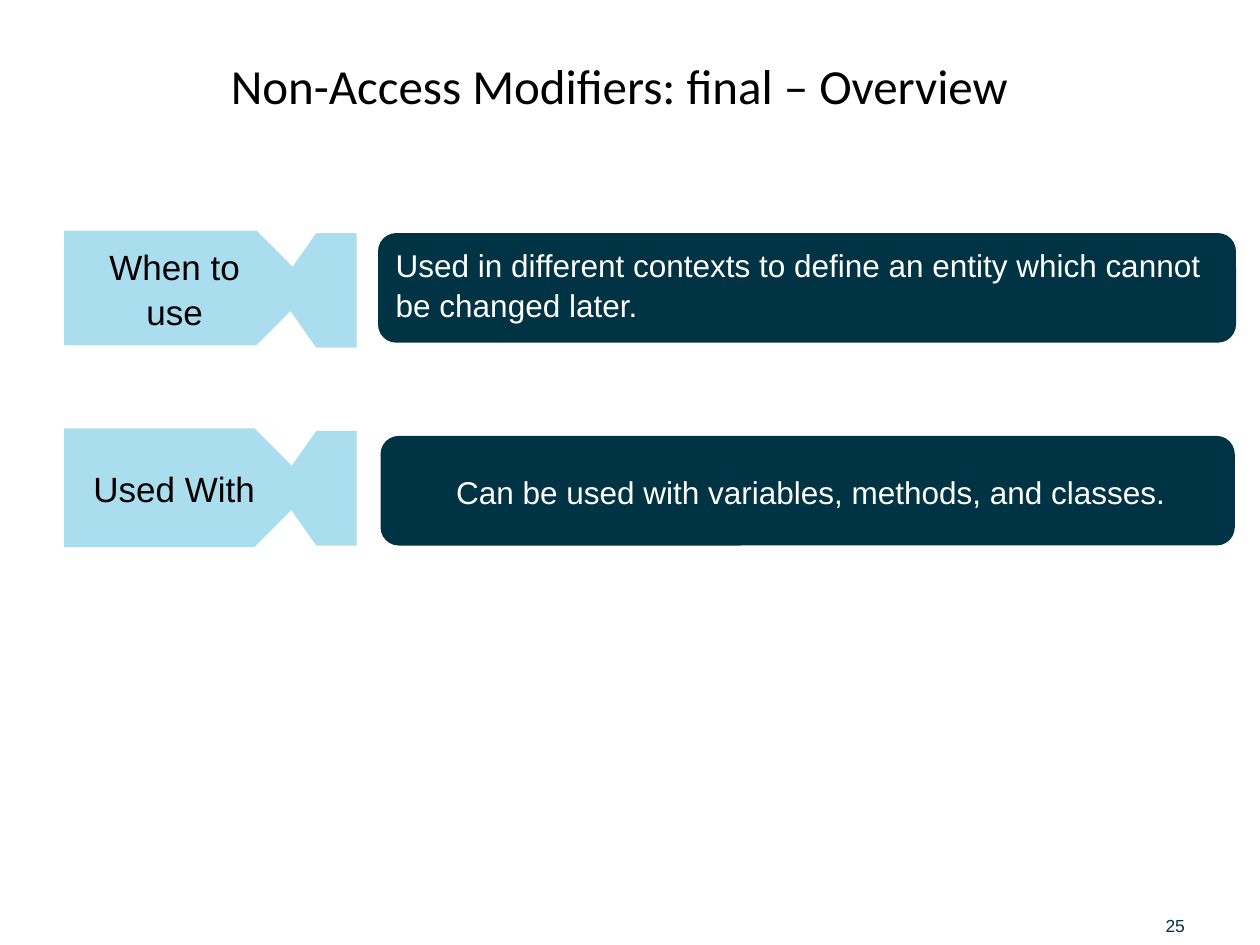
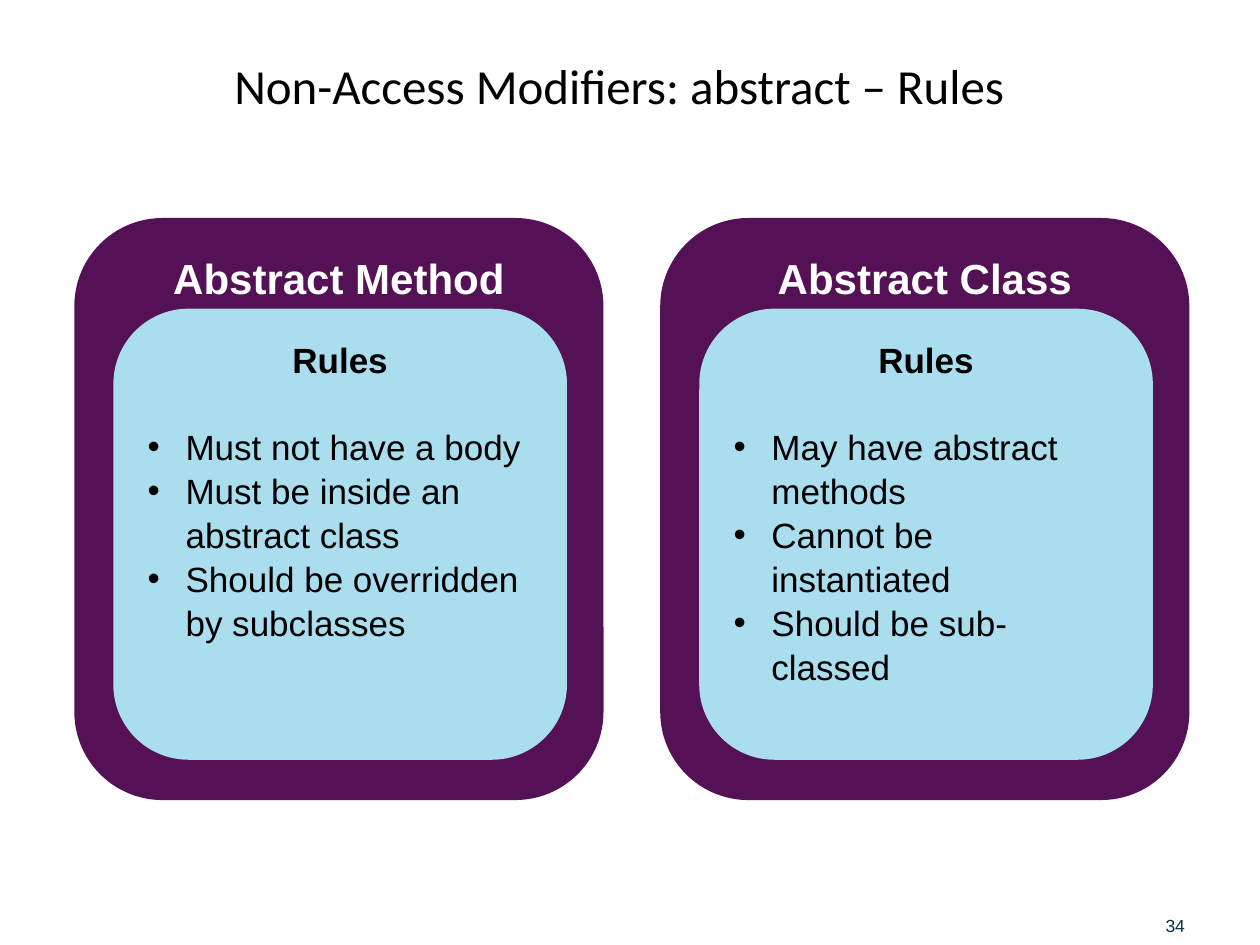
from dataclasses import dataclass
from pptx import Presentation
from pptx import util as u
from pptx.dml.color import RGBColor
from pptx.enum import shapes, text
from pptx.oxml.ns import qn
from lxml import etree

# Content
USES = {
    "title": "Non-Access Modifiers: final \u2013 Overview",
    "page": "25",
    "rows": [
        ("When to use", "Used in different contexts to define an entity "
                        "which cannot be changed later."),
        ("Used With", "Can be used with variables, methods, and classes."),
    ],
}
RULES = {
    "title": "Non-Access Modifiers: abstract \u2013 Rules",
    "page": "34",
    "cards": [
        ("Abstract Method", ["Must not have a body",
                             "Must be inside an abstract class",
                             "Should be overridden by subclasses"]),
        ("Abstract Class", ["May have abstract methods",
                            "Cannot be instantiated",
                            "Should be sub-classed"]),
    ],
}


@dataclass(frozen=True)
class Theme:
    dark: str = "003344"
    light: str = "AADDEE"
    plum: str = "551155"
    black: str = "000000"
    white: str = "FFFFFF"
    head: str = "Calibri"
    body: str = "Arial"
    title: float = 28
    card: float = 24
    label: float = 20
    note: float = 18
    page: float = 10
    lead: float = 1.05


T = Theme()
W, H = 10, 7.5
FORM = shapes.MSO_SHAPE
ALIGN = text.PP_ALIGN
ANCHOR = text.MSO_ANCHOR

deck = Presentation()
deck.slide_width, deck.slide_height = u.Inches(W), u.Inches(H)


# Shared parts
def style(para, size, color, bold=False, face=T.body, align=ALIGN.LEFT):
    para.alignment = align
    font = para.font
    font.name, font.size, font.bold = face, u.Pt(size), bold
    font.color.rgb = RGBColor.from_string(color)
    if face == T.body:
        para.line_spacing = T.lead


def indent(para, left, first=0):
    props = para._p.get_or_add_pPr()
    props.set("marL", str(u.Inches(left)))
    props.set("indent", str(u.Inches(first)))
    return props


def bullet(para):
    props = indent(para, 0.3, -0.3)
    etree.SubElement(props, qn("a:buFont")).set("typeface", T.body)
    etree.SubElement(props, qn("a:buChar")).set("char", "\u2022")


def write(shape, words, size, color, anchor=ANCHOR.TOP, **look):
    frame = shape.text_frame
    frame.word_wrap = True
    frame.vertical_anchor = anchor
    para = frame.paragraphs[0]
    para.text = words
    style(para, size, color, **look)
    return para


def block(slide, form, box, fill):
    shape = slide.shapes.add_shape(form, *map(u.Inches, box))
    shape.shadow.inherit = False
    shape.fill.solid()
    shape.fill.fore_color.rgb = RGBColor.from_string(fill)
    shape.line.fill.background()
    return shape


def label(slide, box):
    return slide.shapes.add_textbox(*map(u.Inches, box))


def start(data):
    slide = deck.slides.add_slide(deck.slide_layouts[6])
    write(label(slide, (0.5, 0.2, 8.83, 0.95)), data["title"], T.title, T.black,
          ANCHOR.MIDDLE, face=T.head, align=ALIGN.CENTER)
    page = label(slide, (9.25, 7.15, 0.69, 0.28))
    frame = page.text_frame
    frame.margin_left = frame.margin_right = 0
    frame.margin_top = frame.margin_bottom = 0
    write(page, data["page"], T.page, T.dark, ANCHOR.BOTTOM)
    return slide


# Overview: a tag, a facing arrow and a note on each row
slide = start(USES)
TOP, STEP, TALL = 1.85, 1.57, 0.91
# Per row: tag height, note box (left, drop from row top, width), indent
FITS = [(TALL, (3, 0, 6.81), 0), (0.94, (3.02, 0.04, 6.78), 0.46)]
for row, ((name, note), (high, (left, drop, wide), pad)) in enumerate(
        zip(USES["rows"], FITS)):
    top = TOP + row * STEP
    panel = block(slide, FORM.ROUNDED_RECTANGLE,
                  (left, top + drop, wide, 0.87), T.dark)
    anchor = ANCHOR.MIDDLE if pad else ANCHOR.TOP
    indent(write(panel, note, T.note, T.white, anchor), pad)
    tag = block(slide, FORM.PENTAGON, (0.51, top - 0.02, 1.98, high), T.light)
    write(tag, name, T.label, T.black, ANCHOR.MIDDLE, align=ALIGN.CENTER)
    tail = block(slide, FORM.PENTAGON, (2.19, top, 0.64, TALL), T.light)
    tail.rotation = 180

# Rules: two cards, each with an inner panel
slide = start(RULES)
LEFT, WIDE, GAP = 0.59, 4.2, 0.45
for col, (name, rules) in enumerate(RULES["cards"]):
    left = LEFT + col * (WIDE + GAP)
    card = block(slide, FORM.ROUNDED_RECTANGLE, (left, 1.73, WIDE, 4.62), T.plum)
    write(card, name, T.card, T.white, bold=True, align=ALIGN.CENTER)
    panel = block(slide, FORM.ROUNDED_RECTANGLE,
                  (left + 0.31, 2.45, 3.6, 3.58), T.light)
    head = write(panel, "Rules", T.label, T.black, bold=True, align=ALIGN.CENTER)
    head.space_after = u.Pt(24)
    for rule in rules:
        para = panel.text_frame.add_paragraph()
        para.text = rule
        style(para, T.label, T.black)
        bullet(para)

deck.save("out.pptx")
